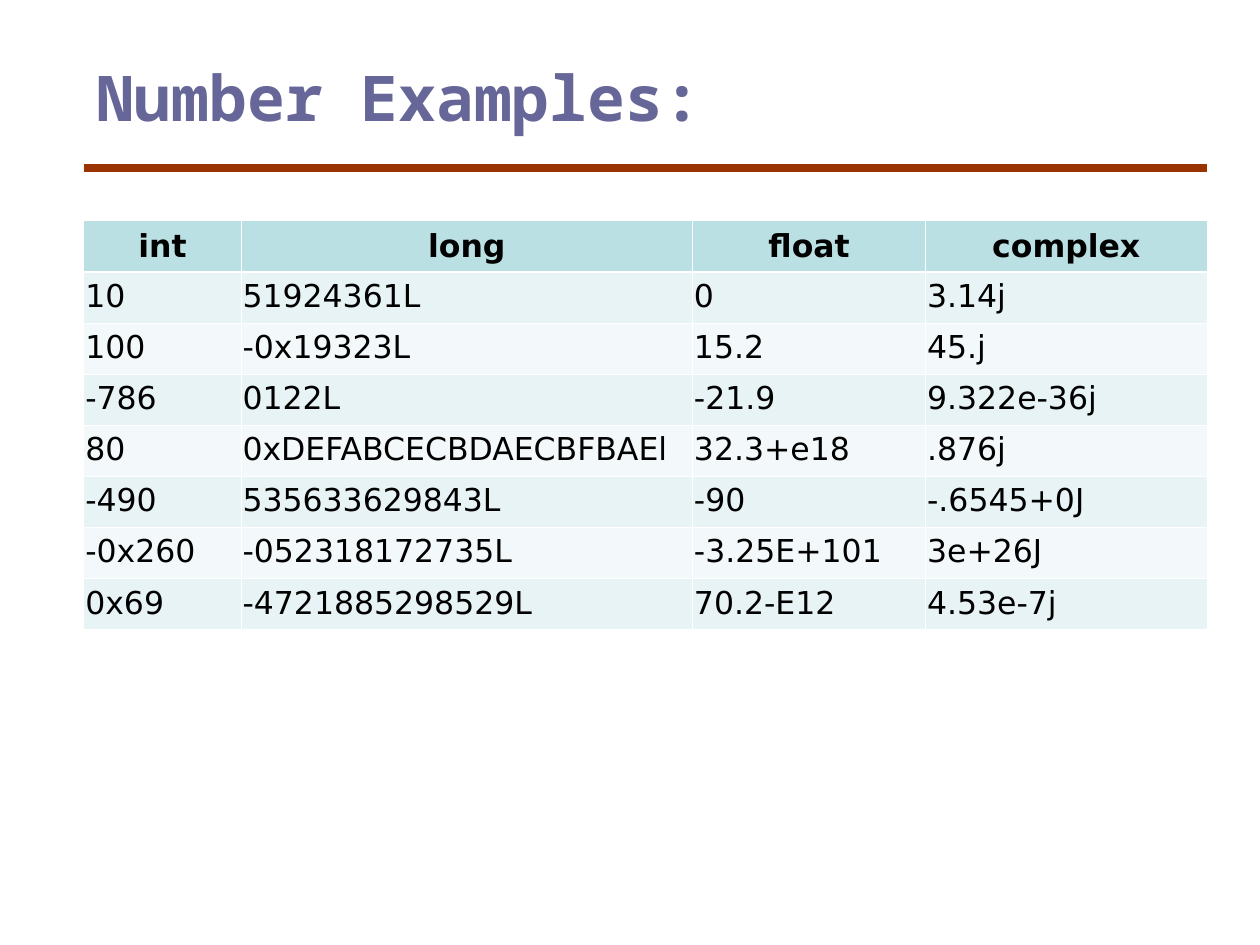
"""Build a slide with a table of Python number literals."""
from lxml import etree
from pptx import Presentation
from pptx import util as u
from pptx.dml.color import RGBColor
from pptx.enum import shapes, text
from pptx.oxml import ns

TITLE = "Number Examples:"
HEADER = ("int", "long", "float", "complex")
NUMBERS = [
    ("10", "51924361L", "0", "3.14j"),
    ("100", "-0x19323L", "15.2", "45.j"),
    ("-786", "0122L", "-21.9", "9.322e-36j"),
    ("80", "0xDEFABCECBDAECBFBAEl", "32.3+e18", ".876j"),
    ("-490", "535633629843L", "-90", "-.6545+0J"),
    ("-0x260", "-052318172735L", "-3.25E+101", "3e+26J"),
    ("0x69", "-4721885298529L", "70.2-E12", "4.53e-7j"),
]
COLUMN_WIDTHS = (3.17, 9.1, 4.7, 5.67)
ROW_HEIGHT = 1.03
LEFT, WIDTH = 1.69, sum(COLUMN_WIDTHS)
HEADER_FILL, BAND_FILLS = "BBE0E3", ("E7F3F4", "F3F9FA")
THIN, THICK = 0.45, 1.47


def color(value):
    return RGBColor.from_string(value)


def write(para, words, font, size, shade, bold):
    span = para.add_run()
    span.text = words
    span.font.name, span.font.size, span.font.bold = font, u.Pt(size), bold
    span.font.color.rgb = color(shade)


def add_title(page):
    box = page.shapes.add_textbox(u.Cm(LEFT), u.Cm(1.06), u.Cm(WIDTH), u.Cm(3.18))
    box.text_frame.word_wrap = True
    write(box.text_frame.paragraphs[0], TITLE, "Noto Sans Mono", 36, "666699", True)


def add_rule(page):
    y = u.Cm(3.39)
    rule = page.shapes.add_connector(
        shapes.MSO_CONNECTOR.STRAIGHT, u.Cm(LEFT), y, u.Cm(LEFT + WIDTH), y)
    rule.line.color.rgb = color("993300")
    rule.line.width = u.Pt(4.5)
    etree.SubElement(rule.element.spPr, ns.qn("a:effectLst"))


def set_borders(cell, top, bottom):
    properties = cell._tc.get_or_add_tcPr()
    for side, width in (("L", THIN), ("R", THIN), ("T", top), ("B", bottom)):
        line = etree.SubElement(properties, ns.qn(f"a:ln{side}"), w=str(u.Pt(width)))
        fill = etree.SubElement(line, ns.qn("a:solidFill"))
        etree.SubElement(fill, ns.qn("a:srgbClr"), val="FFFFFF")


def fill_cell(cell, words, row):
    is_header = row == 0
    set_borders(cell, THICK if row == 1 else THIN, THICK if is_header else THIN)
    cell.fill.solid()
    cell.fill.fore_color.rgb = color(HEADER_FILL if is_header else BAND_FILLS[(row - 1) % 2])
    cell.margin_left = cell.margin_right = u.Cm(0.03)
    cell.margin_top = cell.margin_bottom = u.Cm(0.13)
    cell.vertical_anchor = text.MSO_ANCHOR.MIDDLE if is_header else text.MSO_ANCHOR.TOP
    para = cell.text_frame.paragraphs[0]
    para.alignment = text.PP_ALIGN.CENTER if is_header else text.PP_ALIGN.LEFT
    write(para, words, "DejaVu Sans", 18, "000000", is_header)


def add_numbers(page):
    rows = [HEADER, *NUMBERS]
    table = page.shapes.add_table(
        len(rows), len(HEADER), u.Cm(LEFT), u.Cm(4.45),
        u.Cm(WIDTH), u.Cm(ROW_HEIGHT * len(rows))).table
    for column, width in zip(table.columns, COLUMN_WIDTHS):
        column.width = u.Cm(width)
    for r, values in enumerate(rows):
        table.rows[r].height = u.Cm(ROW_HEIGHT)
        for c, words in enumerate(values):
            fill_cell(table.cell(r, c), words, r)


def main():
    deck = Presentation()
    deck.slide_width, deck.slide_height = u.Cm(25.4), u.Cm(19.05)
    page = deck.slides.add_slide(deck.slide_layouts[6])
    add_rule(page)
    add_title(page)
    add_numbers(page)
    deck.save("out.pptx")


if __name__ == "__main__":
    main()
